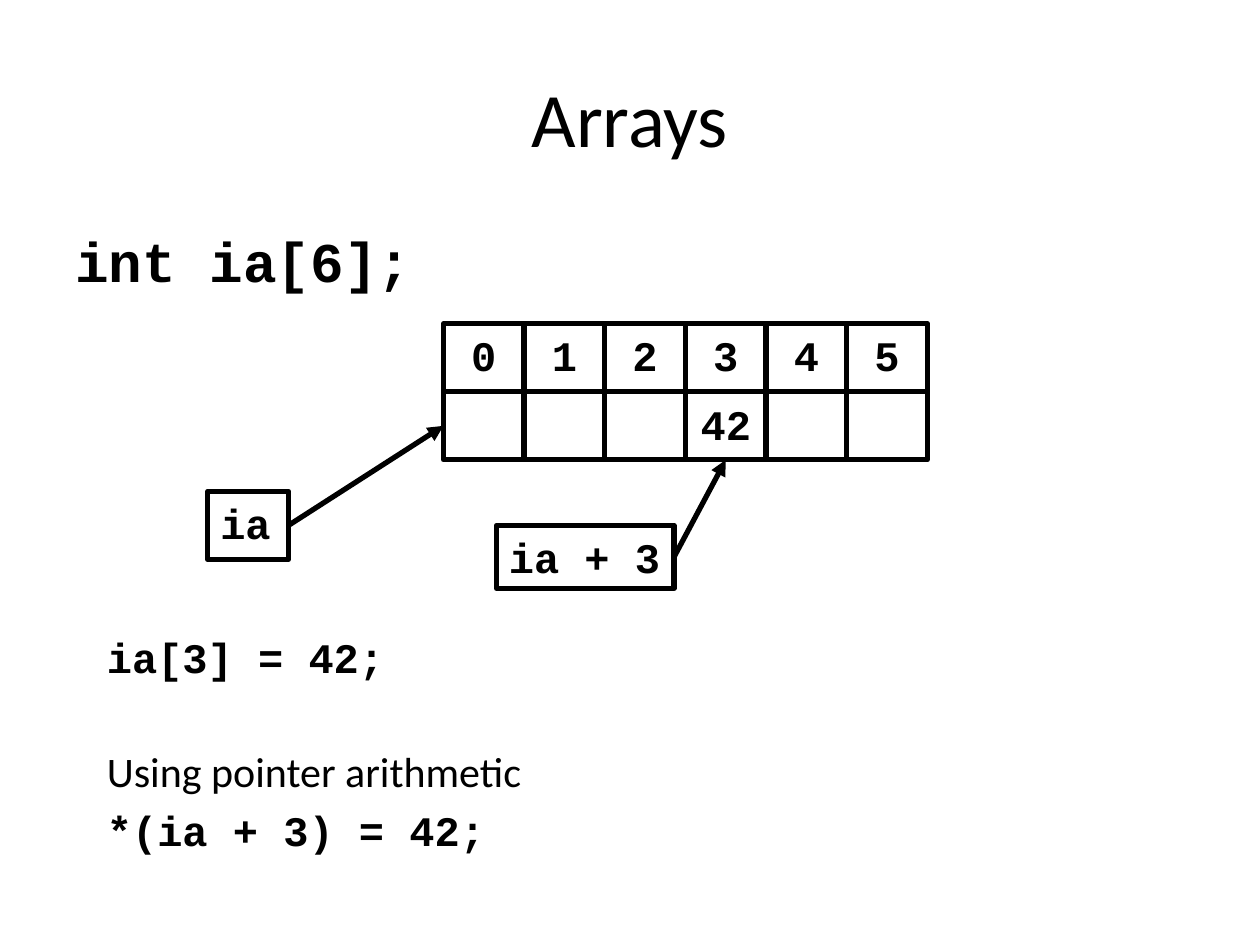
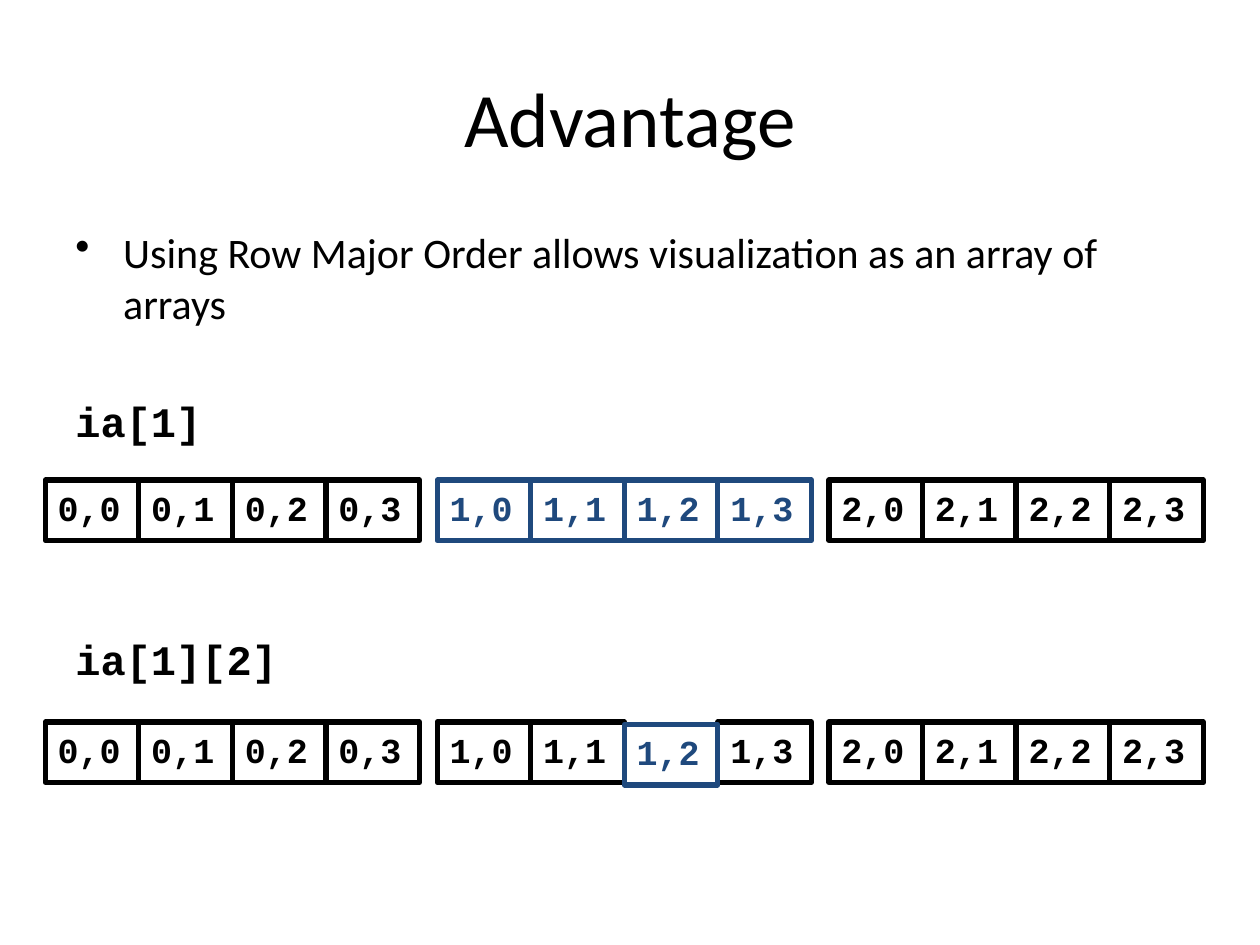
"""Build two slides on arrays and row major order."""
import pptx
import pptx.dml.color
import pptx.enum.shapes
import pptx.enum.text
import pptx.oxml.ns
import pptx.util
from lxml import etree

Inches, Pt = pptx.util.Inches, pptx.util.Pt
BLACK = pptx.dml.color.RGBColor(0x00, 0x00, 0x00)
BLUE = pptx.dml.color.RGBColor(0x1F, 0x49, 0x7D)
PROSE, CODE = "Calibri", "Courier New"
LEFT, CENTER = pptx.enum.text.PP_ALIGN.LEFT, pptx.enum.text.PP_ALIGN.CENTER
HANG = 0.38
LINE = 3

TITLES = ["Arrays", "Advantage"]
DECLARATION = [("int ia[6];", CODE, 32, 0, "")]
STATEMENTS = [
    ("ia[3] = 42;", CODE, 24, 0, ""),
    ("Using pointer arithmetic", PROSE, 24, 36.8, ""),
    ("*(ia + 3) = 42;", CODE, 24, 4.8, ""),
]
ADVANTAGE = [
    ("Using Row Major Order allows visualization as an array of arrays", PROSE, 24, 0, "•"),
    ("ia[1]", CODE, 24, 38.9, ""),
    ("ia[1][2]", CODE, 24, 107.1, ""),
]

ARRAY_LEFT, ARRAY_TOP, ARRAY_CELL = 3.52, 2.57, (0.64, 0.54)
ARRAY_ROWS = [["0", "1", "2", "3", "4", "5"], ["", "", "", "42", "", ""]]
POINTERS = [
    ("ia", (1.65, 3.9, 0.64, 0.54), 0, 1),
    ("ia + 3", (3.94, 4.17, 1.41, 0.5), 3, 2),
]

GROUPS, MEMBERS = 3, 4
STRIP_LEFT, STRIP_WIDTH, GROUP_GAP, STRIP_HEIGHT = 0.36, 9.19, 0.14, 0.48
STRIPS = [
    (3.81, 0, {(1, member) for member in range(MEMBERS)}),
    (5.73, 0.02, {(1, 2)}),
]


def place(left, top, width, height):
    return [Inches(length) for length in (left, top, width, height)]


def format_spans(para, font, size, color=BLACK):
    for span in para.runs:
        span.font.name, span.font.size = font, Pt(size)
        span.font.bold = font == CODE
        span.font.color.rgb = color


def add_title(page, text):
    box = page.shapes.add_textbox(*place(0.5, 0.3, 9, 1.25))
    frame = box.text_frame
    frame.word_wrap = True
    frame.vertical_anchor = pptx.enum.text.MSO_ANCHOR.MIDDLE
    frame.text = text
    frame.paragraphs[0].alignment = CENTER
    format_spans(frame.paragraphs[0], PROSE, 44)


def add_body(page, area, lines):
    frame = page.shapes.add_textbox(*place(*area)).text_frame
    frame.word_wrap = True
    frame.text = "\n".join(line[0] for line in lines)
    for para, (_, font, size, before, bullet) in zip(frame.paragraphs, lines):
        properties = para._p.get_or_add_pPr()
        properties.set("marL", str(Inches(HANG)))
        properties.set("indent", str(-Inches(HANG)))
        if bullet:
            mark = etree.SubElement(properties, pptx.oxml.ns.qn("a:buChar"))
            mark.set("char", bullet)
        if before:
            para.space_before = Pt(before)
        format_spans(para, font, size)


def add_cell(page, area, text, size=24, color=BLACK, align=LEFT):
    cell = page.shapes.add_shape(pptx.enum.shapes.MSO_SHAPE.RECTANGLE, *place(*area))
    cell.shadow.inherit = False
    cell.fill.background()
    cell.line.color.rgb, cell.line.width = color, Pt(LINE)
    if text:
        frame = cell.text_frame
        frame.word_wrap = False
        frame.vertical_anchor = pptx.enum.text.MSO_ANCHOR.TOP
        if align == LEFT:
            frame.auto_size = pptx.enum.text.MSO_AUTO_SIZE.SHAPE_TO_FIT_TEXT
        frame.text = text
        frame.paragraphs[0].alignment = align
        format_spans(frame.paragraphs[0], CODE, size, color)
    return cell


def add_arrow(page, source, target, target_side):
    arrow = page.shapes.add_connector(pptx.enum.shapes.MSO_CONNECTOR.STRAIGHT, 0, 0, 0, 0)
    arrow.begin_connect(source, 3)
    arrow.end_connect(target, target_side)
    arrow.line.color.rgb, arrow.line.width = BLACK, Pt(LINE)
    head = etree.SubElement(arrow.line._get_or_add_ln(), pptx.oxml.ns.qn("a:tailEnd"))
    head.set("type", "triangle")
    etree.SubElement(arrow._element.spPr, pptx.oxml.ns.qn("a:effectLst"))


def draw_arrays(page):
    add_body(page, (0.5, 1.75, 9, 0.96), DECLARATION)
    width, height = ARRAY_CELL
    for row, values in enumerate(ARRAY_ROWS):
        cells = [
            add_cell(page, (ARRAY_LEFT + column * width, ARRAY_TOP + row * height, width, height),
                     value, align=CENTER)
            for column, value in enumerate(values)
        ]
    for label, area, column, side in POINTERS:
        add_arrow(page, add_cell(page, area, label), cells[column], side)
    add_body(page, (0.75, 4.96, 8.5, 1.95), STATEMENTS)


def draw_advantage(page):
    add_body(page, (0.5, 1.75, 9, 4.95), ADVANTAGE)
    width = (STRIP_WIDTH - (GROUPS - 1) * GROUP_GAP) / (GROUPS * MEMBERS)
    positions = [(group, member) for group in range(GROUPS) for member in range(MEMBERS)]
    for top, drop, chosen in STRIPS:
        for position in sorted(positions, key=lambda pair: pair in chosen):
            group, member = position
            left = STRIP_LEFT + group * (MEMBERS * width + GROUP_GAP) + member * width
            marked = position in chosen
            add_cell(page, (left, top + drop * marked, width, STRIP_HEIGHT),
                     f"{group},{member}", 20, BLUE if marked else BLACK)


def main():
    deck = pptx.Presentation()
    deck.slide_width, deck.slide_height = Inches(10), Inches(7.5)
    for title, draw in zip(TITLES, (draw_arrays, draw_advantage)):
        page = deck.slides.add_slide(deck.slide_layouts[6])
        add_title(page, title)
        draw(page)
    deck.save("out.pptx")


if __name__ == "__main__":
    main()
